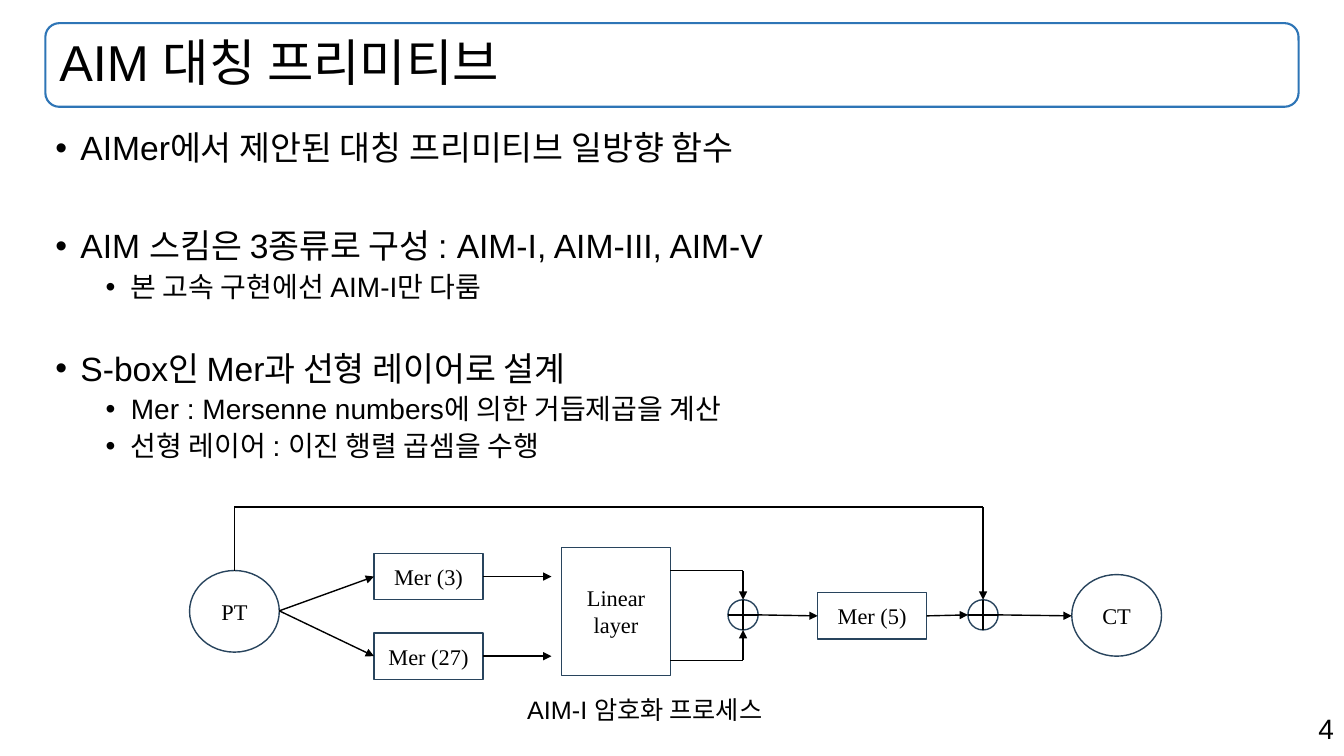
from lxml import etree
from pptx import Presentation
from pptx import util as u
from pptx.dml.color import RGBColor
from pptx.enum import shapes, text
from pptx.oxml import ns

rgb = RGBColor.from_string
inch = u.Inches
kind = shapes.MSO_SHAPE
LEFT, MID, RIGHT = text.PP_ALIGN.LEFT, text.PP_ALIGN.CENTER, text.PP_ALIGN.RIGHT
INK, NAVY, BLUE = "000000", "28445D", "2E75B6"
SERIF = "Times New Roman"


def write(frame, words, size=16, face="Arial", align=LEFT, gap=0, pitch=None, level=None):
    """Add one paragraph; a level makes it a bullet of that depth."""
    para = frame.paragraphs[0]
    if para.runs:
        para = frame.add_paragraph()
    run = para.add_run()
    run.text = words
    para.alignment = align
    para.space_before = u.Pt(gap)
    if pitch:
        para.line_spacing = pitch
    if level is not None:
        para.level = level
        props = para._p.get_or_add_pPr()
        props.set("marL", str(inch(0.25 + 0.5 * level)))
        props.set("indent", str(-inch(0.25)))
        etree.SubElement(props, ns.qn("a:buFont")).set("typeface", "Arial")
        etree.SubElement(props, ns.qn("a:buChar")).set("char", "•")
    run.font.size = u.Pt(size)
    run.font.name = face
    run.font.color.rgb = rgb(INK)


def draw(form, x, y, w, h, hue=NAVY, thick=1):
    """Add an unfilled shape and return its text frame."""
    shape = slide.shapes.add_shape(form, inch(x), inch(y), inch(w), inch(h))
    shape.shadow.inherit = False
    shape.fill.background()
    shape.line.color.rgb = rgb(hue)
    shape.line.width = u.Pt(thick)
    frame = shape.text_frame
    frame.word_wrap = True
    frame.vertical_anchor = text.MSO_ANCHOR.MIDDLE
    return frame


deck = Presentation()
deck.slide_width, deck.slide_height = inch(13.33), inch(7.5)
slide = deck.slides.add_slide(deck.slide_layouts[6])

# Title, body, caption and page number
edge, wide = 0.45, 12.43
title = draw(kind.ROUNDED_RECTANGLE, edge, 0.23, wide, 0.83, BLUE, 1.5)
write(title, "AIM 대칭 프리미티브", 36, pitch=0.9)

frames = []
for x, y, w, h in [(edge, 1.26, wide, 3.6), (5.13, 6.84, 3.9, 0.4), (9.43, 7.01, 3.9, 0.44)]:
    frame = slide.shapes.add_textbox(inch(x), inch(y), inch(w), inch(h)).text_frame
    frame.word_wrap = True
    frames.append(frame)
body, label, page = frames

for level, gap, words in [
    (0, 0, "AIMer에서 제안된 대칭 프리미티브 일방향 함수"),
    (0, 44, "AIM 스킴은 3종류로 구성 : AIM-I, AIM-III, AIM-V"),
    (1, 5, "본 고속 구현에선 AIM-I만 다룸"),
    (0, 35, "S-box인 Mer과 선형 레이어로 설계"),
    (1, 5, "Mer : Mersenne numbers에 의한 거듭제곱을 계산"),
    (1, 5, "선형 레이어 : 이진 행렬 곱셈을 수행"),
]:
    write(body, words, 24 - 4 * level, gap=gap, pitch=0.9, level=level)
write(label, "AIM-I 암호화 프로세스", 18)
write(page, "4", 20, align=RIGHT)

# Diagram grid: rows of the flow and columns of its nodes
top, high, axis, low = 5.03, 5.72, 6.11, 6.51
start, mer, linear, last, end = 1.88, 3.71, 5.57, 8.11, 10.63
box, tall, disc, ring = 1.08, 0.46, 0.89, 0.15
sums = [7.37, 9.75]
join = 6.1

for form, x, y, w, h, lines in [
    (kind.OVAL, start, 5.66, disc, 0.81, ["PT"]),
    (kind.OVAL, end, 5.7, disc, 0.81, ["CT"]),
    (kind.RECTANGLE, mer, high - tall / 2, box, tall, ["Mer (3)"]),
    (kind.RECTANGLE, mer, low - tall / 2, box, tall, ["Mer (27)"]),
    (kind.RECTANGLE, last, axis - tall / 2, box, tall, ["Mer (5)"]),
    (kind.RECTANGLE, linear, 5.43, box, 1.27, ["Linear", "layer"]),
]:
    node = draw(form, x, y, w, h)
    for words in lines:
        write(node, words, face=SERIF, align=MID)

# Wires: x and y of both ends, and whether the far end has an arrowhead
wires = []
for x in sums:
    draw(kind.OVAL, x - ring, join - ring, 2 * ring, 2 * ring)
    wires += [(x, join - ring, x, join + ring, False), (x - ring, join, x + ring, join, False)]
for y in (high, low):
    wires += [(start + disc, 6.06, mer, y, True), (mer + box, y, 5.47, y, True)]
for y, side in ((5.66, -ring), (6.55, ring)):
    wires += [(linear + box, y, sums[0], y, False), (sums[0], y, sums[0], join + side, True)]
fork = start + disc / 2
wires += [
    (sums[0] + ring, join, last, axis, True),
    (last + box, axis, sums[1] - ring, join, True),
    (sums[1] + ring, join, end, axis, True),
    (fork, 5.66, fork, top, False),
    (fork, top, sums[1], top, False),
    (sums[1], top, sums[1], join - ring, True),
]
for *ends, arrow in wires:
    wire = slide.shapes.add_connector(shapes.MSO_CONNECTOR.STRAIGHT, *map(inch, ends))
    wire.line.color.rgb = rgb(INK)
    wire.line.width = u.Pt(1)
    if arrow:
        etree.SubElement(wire.line._get_or_add_ln(), ns.qn("a:tailEnd")).set("type", "triangle")
    etree.SubElement(wire._element.spPr, ns.qn("a:effectLst"))

deck.save("out.pptx")
